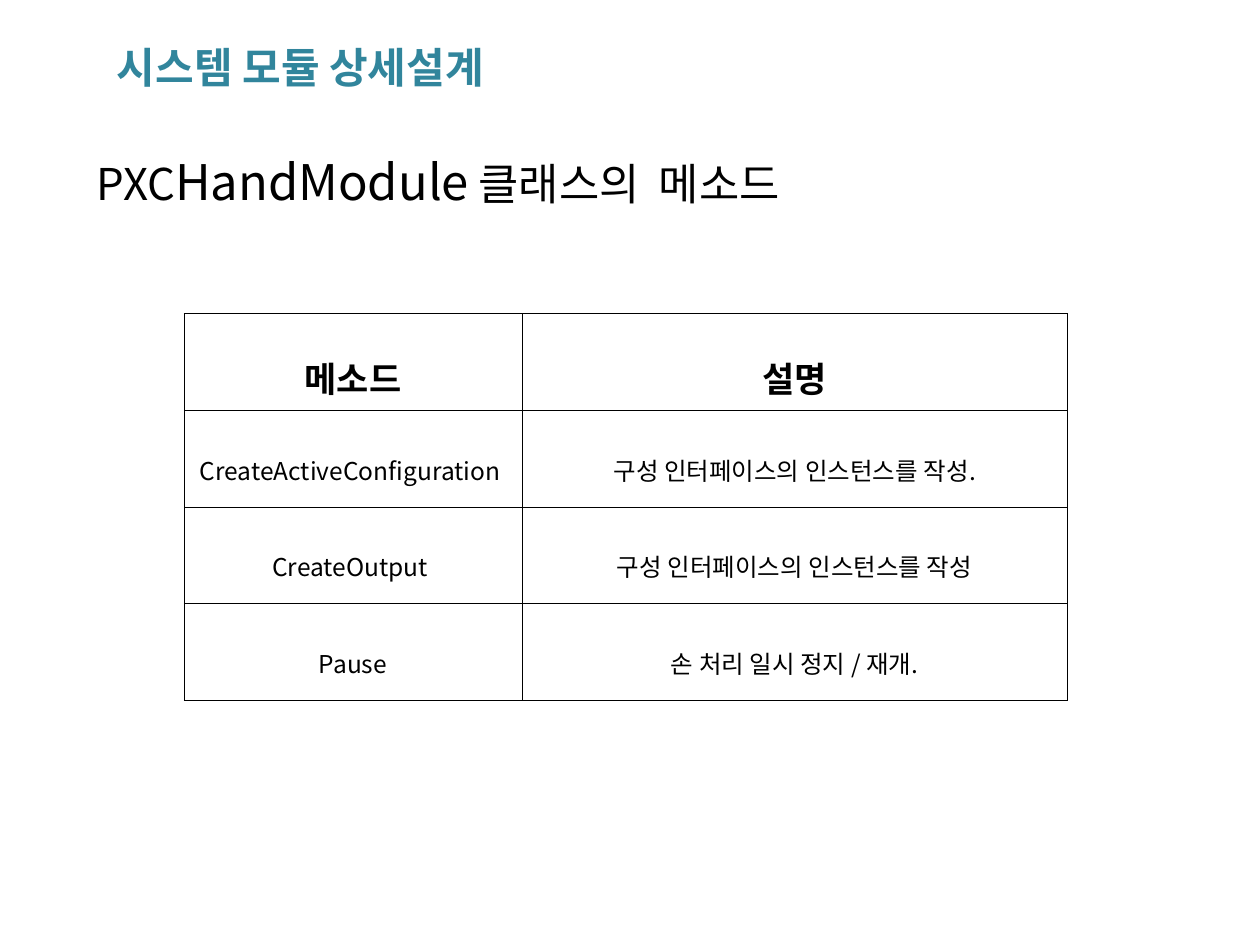
from pptx import Presentation
from pptx import util as u
from pptx.dml.color import RGBColor
from pptx.enum import text
from pptx.oxml import parse_xml
from pptx.oxml.ns import nsdecls

FONT = "Noto Sans CJK KR"
COLORS = {"title": "31859C", "ink": "000000"}
ROWS = [
    ("메소드", "설명"),
    ("CreateActiveConfiguration\u00a0", "구성 인터페이스의 인스턴스를 작성."),
    ("CreateOutput\u00a0", "구성 인터페이스의 인스턴스를 작성"),
    ("Pause", "손 처리 일시 정지 / 재개."),
]


def style(run, size, color="ink", bold=False):
    """Format a run, with the same font for Latin and Korean letters."""
    font = run.font
    font.name, font.size, font.bold = FONT, u.Pt(size), bold
    font.color.rgb = RGBColor.from_string(COLORS[color])
    east = parse_xml(f'<a:ea {nsdecls("a")} typeface="{FONT}"/>')
    font._element.find("{*}latin").addnext(east)


def add_title(slide):
    title = slide.shapes.title
    title.left, title.top = u.Cm(1.09), u.Cm(0.74)
    title.width, title.height = u.Cm(9.93), u.Cm(1.19)
    frame = title.text_frame
    frame.text = "시스템 모듈 상세설계"
    frame.auto_size = text.MSO_AUTO_SIZE.NONE
    frame.vertical_anchor = text.MSO_ANCHOR.MIDDLE
    para = frame.paragraphs[0]
    para.alignment = text.PP_ALIGN.CENTER
    style(para.runs[0], 24, "title", True)


def add_heading(slide):
    box = slide.shapes.add_textbox(u.Cm(1.7), u.Cm(2.92), u.Cm(15.14), u.Cm(1.45))
    frame = box.text_frame
    frame.word_wrap = False
    frame.auto_size = text.MSO_AUTO_SIZE.SHAPE_TO_FIT_TEXT
    for words, size in (("PXC", 25), ("HandModule", 28), (" 클래스의  메소드", 25)):
        run = frame.paragraphs[0].add_run()
        run.text = words
        style(run, size)


def add_border(cell):
    props = cell._tc.get_or_add_tcPr()
    for spot, side in enumerate("LRTB"):
        props.insert(spot, parse_xml(
            f'<a:ln{side} {nsdecls("a")} w="{u.Pt(0.28)}"><a:solidFill>'
            f'<a:srgbClr val="{COLORS["ink"]}"/></a:solidFill></a:ln{side}>'))


def fill_cell(cell, words, head):
    cell.fill.background()
    add_border(cell)
    cell.vertical_anchor = text.MSO_ANCHOR.MIDDLE
    cell.text_frame.text = words
    para = cell.text_frame.paragraphs[0]
    para.alignment = text.PP_ALIGN.CENTER
    para.line_spacing = 1.6
    style(para.runs[0], 20 if head else 14, bold=head)


def add_methods(slide):
    widths = (u.Cm(6.81), u.Cm(11))
    high = u.Cm(1.95)
    table = slide.shapes.add_table(len(ROWS), len(widths), u.Cm(3.71), u.Cm(6.32),
                                   sum(widths), high * len(ROWS)).table
    table.first_row = table.horz_banding = False
    for col, width in zip(table.columns, widths):
        col.width = width
    for r, row in enumerate(ROWS):
        table.rows[r].height = high
        for c, words in enumerate(row):
            fill_cell(table.cell(r, c), words, r == 0)


def main():
    deck = Presentation()
    deck.slide_width, deck.slide_height = u.Cm(25.4), u.Cm(19.05)
    slide = deck.slides.add_slide(deck.slide_layouts[5])
    add_title(slide)
    add_heading(slide)
    add_methods(slide)
    deck.save("out.pptx")


if __name__ == "__main__":
    main()
